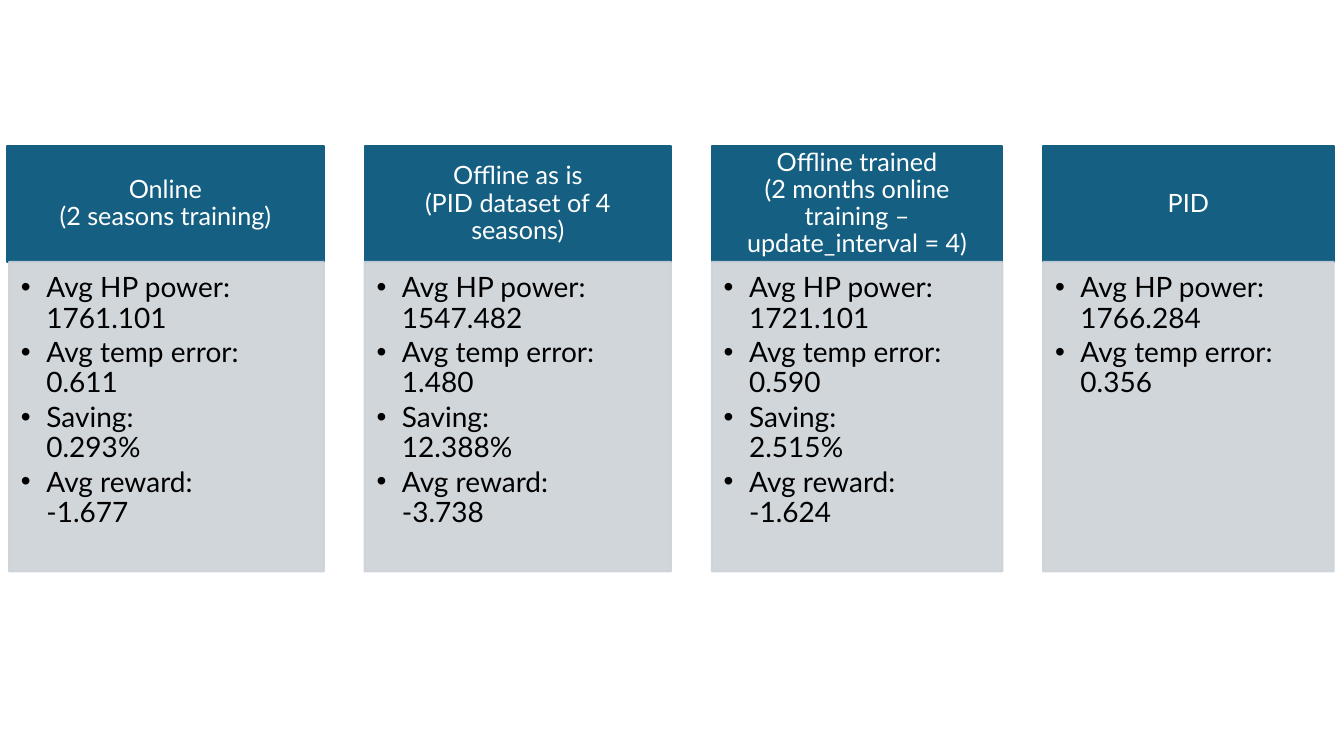
"""Build a slide comparing four heat pump control strategies."""
from lxml import etree
from pptx import Presentation
from pptx.dml.color import RGBColor
from pptx.enum.shapes import MSO_SHAPE
from pptx.enum.text import MSO_ANCHOR, PP_ALIGN
from pptx.oxml.ns import qn
from pptx.util import Cm, Pt

RECTANGLE = MSO_SHAPE.RECTANGLE
TOP, MIDDLE = MSO_ANCHOR.TOP, MSO_ANCHOR.MIDDLE
LEFT, CENTER = PP_ALIGN.LEFT, PP_ALIGN.CENTER

COLORS = {"header": "156082", "body": "CCD2D8", "light": "FFFFFF", "dark": "000000"}
FONT = "Lato"
LABELS = ["Avg HP power:", "Avg temp error:", "Saving:", "Avg reward:"]
STRATEGIES = [
    (7.98, 0.05, ["Online", "(2 seasons training)"],
     ["1761.101", "0.611", "0.293%", "-1.677"]),
    (7.72, 0, ["Offline as is", "(PID dataset of 4 seasons)"],
     ["1547.482", "1.480", "12.388%", "-3.738"]),
    (7.32, 0, ["Offline trained", "(2 months online training – update_interval = 4)"],
     ["1721.101", "0.590", "2.515%", "-1.624"]),
    (7.32, 0, ["PID"], ["1766.284", "0.356"]),
]
FIRST_LEFT, COLUMN_GAP = 0.18, 1.03
HEADER_TOP, HEADER_HEIGHT = 3.68, 2.92
BODY_TOP, BODY_HEIGHT = 6.6, 7.8


def set_opacity(fill, percent):
    """Make a solid fill partly transparent."""
    color = fill._xPr.find(qn("a:solidFill"))[0]
    etree.SubElement(color, qn("a:alpha")).set("val", str(percent * 1000))


def add_panel(group, left, top, width, height, color, anchor, insets):
    """Add a filled rectangle and return it ready for text."""
    panel = group.shapes.add_shape(RECTANGLE, Cm(left), Cm(top), Cm(width), Cm(height))
    panel.shadow.inherit = False
    panel.line.width = Pt(1.5)
    for fill in (panel.fill, panel.line.fill):
        fill.solid()
        fill.fore_color.rgb = RGBColor.from_string(COLORS[color])
    frame = panel.text_frame
    frame.word_wrap = True
    frame.vertical_anchor = anchor
    frame.margin_left, frame.margin_top, frame.margin_right, frame.margin_bottom = map(Cm, insets)
    return panel


def write_lines(para, lines, size, color, alignment):
    """Write lines into one paragraph, parted by line breaks."""
    para.alignment = alignment
    para.line_spacing = 0.9
    for index, line in enumerate(lines):
        if index:
            para.add_line_break()
        span = para.add_run()
        span.text = line
        span.font.name = FONT
        span.font.size = Pt(size)
        span.font.color.rgb = RGBColor.from_string(COLORS[color])


def add_bullet(para):
    """Give a paragraph a round bullet with a hanging indent."""
    para.level = 1
    para.space_after = Pt(3)
    properties = para._p.get_or_add_pPr()
    properties.set("marL", str(Cm(0.64)))
    properties.set("indent", str(Cm(-0.64)))
    etree.SubElement(properties, qn("a:buFont")).set("typeface", "Arial")
    etree.SubElement(properties, qn("a:buChar")).set("char", "•")


def add_header(group, left, width, title):
    """Add the dark title panel of a column."""
    panel = add_panel(group, left, HEADER_TOP, width, HEADER_HEIGHT, "header", MIDDLE,
                      (0.36, 0.2, 0.36, 0.2))
    write_lines(panel.text_frame.paragraphs[0], title, 18, "light", CENTER)


def add_results(group, left, width, values):
    """Add the pale panel that lists the results of a column."""
    panel = add_panel(group, left, BODY_TOP, width, BODY_HEIGHT, "body", TOP,
                      (0.3, 0.3, 0.4, 0.43))
    set_opacity(panel.fill, 90)
    set_opacity(panel.line.fill, 90)
    frame = panel.text_frame
    for index, result in enumerate(zip(LABELS, values)):
        para = frame.add_paragraph() if index else frame.paragraphs[0]
        write_lines(para, result, 20, "dark", LEFT)
        add_bullet(para)


def main():
    """Build and save the deck."""
    deck = Presentation()
    deck.slide_width, deck.slide_height = Cm(33.87), Cm(19.05)
    page = deck.slides.add_slide(deck.slide_layouts[6])
    group = page.shapes.add_group_shape()
    left = FIRST_LEFT
    for width, inset, title, values in STRATEGIES:
        add_header(group, left, width, title)
        add_results(group, left + inset, width - inset, values)
        left += width + COLUMN_GAP
    deck.save("out.pptx")


if __name__ == "__main__":
    main()
